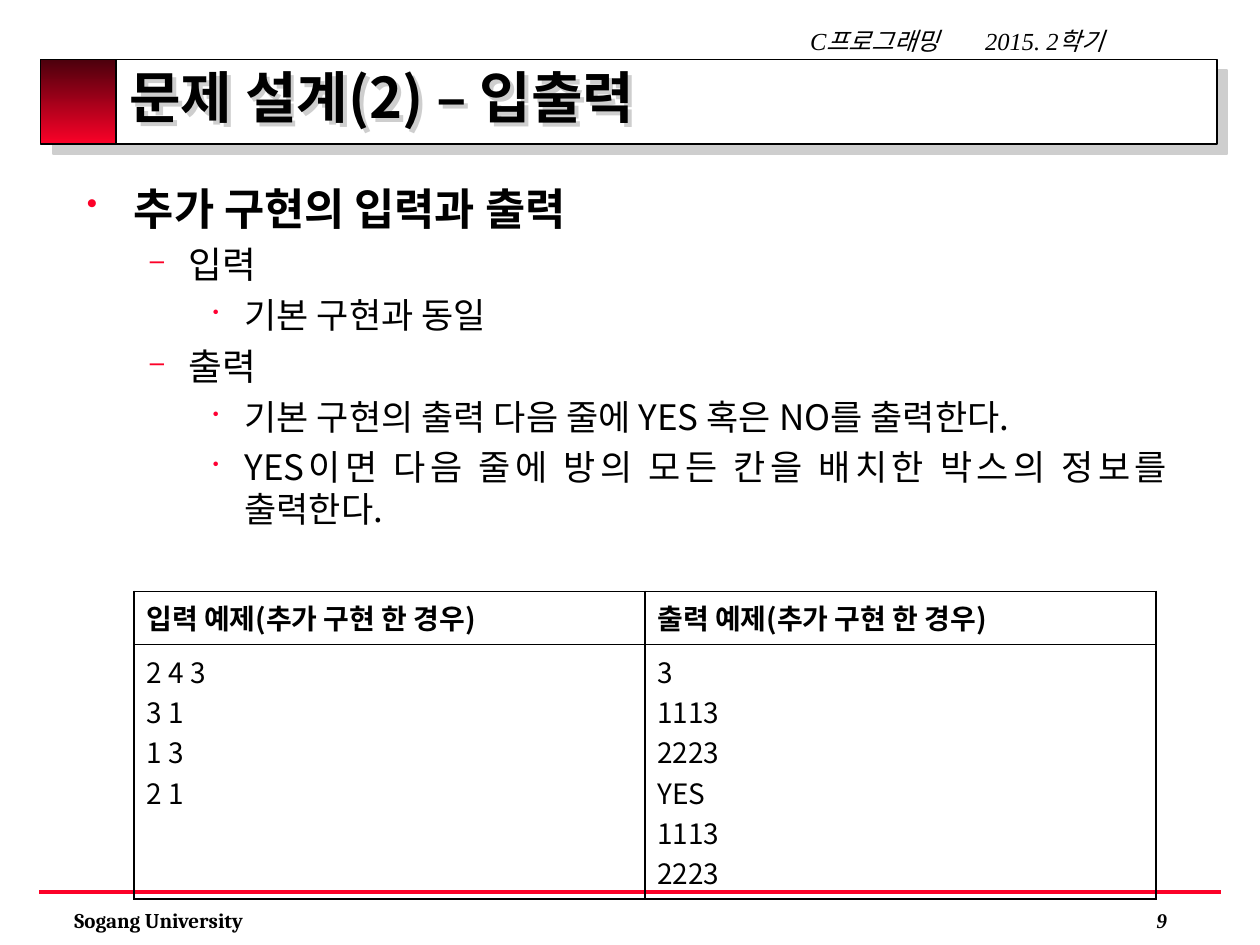
from lxml import etree
from pptx import Presentation, util as u
from pptx.dml.color import RGBColor
from pptx.enum import shapes, text
from pptx.oxml import ns

# Content
SANS, SERIF, ROMAN = "Noto Sans CJK KR", "Cambria", "Times New Roman"
BLACK, RED, DARK_RED, GREY = "000000", "FC0128", "4B000C", "CECECE"
TITLE = "문제 설계(2) – 입출력"
BODY = [
    (0, "추가 구현의 입력과 출력"),
    (1, "입력"),
    (2, "기본 구현과 동일"),
    (1, "출력"),
    (2, "기본 구현의 출력 다음 줄에 YES 혹은 NO를 출력한다."),
    (2, "YES이면 다음 줄에 방의 모든 칸을 배치한 박스의 정보를 출력한다."),
]
EXAMPLES = [
    ("입력 예제(추가 구현 한 경우)", ["2 4 3", "3 1", "1 3", "2 1"]),
    ("출력 예제(추가 구현 한 경우)", ["3", "1113", "2223", "YES", "1113", "2223"]),
]
LEVELS = [  # left margin and hanging indent in cm, then bullet look
    dict(margin=0.95, hang=0.95, bullet="•", color=RED, percent=70, size=25, bold=True),
    dict(margin=2.06, hang=0.79, bullet="–", color=RED, percent=70, size=21, bold=False),
    dict(margin=3.18, hang=0.64, bullet="•", color="FF0033", percent=50, size=20, bold=False),
]
# Small labels: text, box in cm, alignment, anchor, format
LABELS = [
    ("Sogang University", (1.25, 18.17, 7.26, 0.8), "LEFT", "TOP",
     dict(name=SERIF, size=12, bold=True)),
    ("C프로그래밍\t2015. 2학기", (16.08, 0.41, 7.4, 0.86), "LEFT", "TOP",
     dict(name=ROMAN, size=14, italic=True)),
    ("9", (21.8, 18.15, 1.98, 0.79), "RIGHT", "MIDDLE",
     dict(name=ROMAN, size=12, bold=True, italic=True)),
]
HEADER_TAB = 3.53


# Helpers
def rgb(value):
    return RGBColor.from_string(value)


def cm(*values):
    return [u.Cm(value) for value in values]


def child(parent, tag, **attributes):
    element = etree.SubElement(parent, ns.qn(tag))
    for key, value in attributes.items():
        element.set(key, str(value))
    return element


def add_shadow(parent, distance):
    effects = child(parent, "a:effectLst")
    shadow = child(effects, "a:outerShdw", blurRad=0, dist=int(u.Pt(distance)),
                   dir=2700000, algn="ctr", rotWithShape=0)
    child(shadow, "a:srgbClr", val=GREY)


def write(paragraph, content, name=SANS, size=16, **formats):
    run = paragraph.add_run()
    run.text = content
    for key, value in dict(formats, name=name, size=u.Pt(size)).items():
        setattr(run.font, key, value)
    run.font.color.rgb = rgb(BLACK)
    properties = run.font._element
    properties.set("kern", "0")
    properties.find(ns.qn("a:latin")).addnext(etree.Element(ns.qn("a:ea"), typeface=SANS))


def add_text_box(box, anchor):
    shape = slide.shapes.add_textbox(*cm(*box))
    shape.text_frame.word_wrap = True
    shape.text_frame.vertical_anchor = getattr(text.MSO_ANCHOR, anchor)
    return shape


def add_box(box):
    shape = slide.shapes.add_shape(shapes.MSO_SHAPE.RECTANGLE, *cm(*box))
    shape.line.color.rgb = rgb(BLACK)
    shape.line.width = u.Pt(1)
    return shape


def paragraphs(frame, count):
    return [frame.paragraphs[0]] + [frame.add_paragraph() for _ in range(count - 1)]


presentation = Presentation()
presentation.slide_width, presentation.slide_height = cm(25.4, 19.05)
slide = presentation.slides.add_slide(presentation.slide_layouts[6])

# Title bar with its red block
bar = add_box((0.86, 1.2, 23.67, 1.7))
bar.fill.solid()
bar.fill.fore_color.rgb = rgb("FFFFFF")
add_shadow(bar._element.spPr, 8.5)

block = add_box((0.82, 1.2, 1.52, 1.71))
block.shadow.inherit = False
block.fill.gradient()
block.fill.gradient_angle = 270
for stop, color in zip(block.fill.gradient_stops, (DARK_RED, RED)):
    stop.color.rgb = rgb(color)

# Footer rule
rule = slide.shapes.add_connector(shapes.MSO_CONNECTOR.STRAIGHT, *cm(0.79, 17.98, 24.61, 17.98))
rule.line.color.rgb = rgb(RED)
rule.line.width = u.Pt(2.25)
child(rule._element.spPr, "a:effectLst")

# Header, footer and page number
for content, box, align, anchor, formats in LABELS:
    paragraph = add_text_box(box, anchor).text_frame.paragraphs[0]
    paragraph.alignment = getattr(text.PP_ALIGN, align)
    if "\t" in content:
        tabs = child(paragraph._p.get_or_add_pPr(), "a:tabLst")
        child(tabs, "a:tab", pos=int(u.Cm(HEADER_TAB)), algn="l")
    write(paragraph, content, **formats)

# Title, whose unfilled box casts its shadow from the letters
title = add_text_box((2.36, 1.12, 22.28, 1.9), "MIDDLE")
add_shadow(title._element.spPr, 3)
paragraph = title.text_frame.paragraphs[0]
paragraph.line_spacing = 0.8
write(paragraph, TITLE, size=32, bold=True)

# Bulleted body
frame = add_text_box((1.5, 3.53, 22.28, 14.6), "TOP").text_frame
for index, (paragraph, (depth, content)) in enumerate(zip(paragraphs(frame, len(BODY)), BODY)):
    level = LEVELS[depth]
    properties = paragraph._p.get_or_add_pPr()
    properties.set("marL", str(int(u.Cm(level["margin"]))))
    properties.set("indent", str(-int(u.Cm(level["hang"]))))
    child(child(properties, "a:buClr"), "a:srgbClr", val=level["color"])
    child(properties, "a:buSzPct", val=level["percent"] * 1000)
    child(properties, "a:buChar", char=level["bullet"])
    paragraph.level = depth
    paragraph.alignment = text.PP_ALIGN.JUSTIFY
    if index:
        paragraph.space_before = u.Pt(4.5)
    write(paragraph, content, size=level["size"], bold=level["bold"])

# Example table
table = slide.shapes.add_table(2, len(EXAMPLES), *cm(2.7, 11.92, 20.6, 6.2)).table
for row, height in zip(table.rows, (1.07, 5.13)):
    row.height = u.Cm(height)
for column, (heading, lines) in enumerate(EXAMPLES):
    table.columns[column].width = u.Cm(10.3)
    for row, cell_lines in enumerate(([heading], lines)):
        cell = table.cell(row, column)
        for paragraph, line in zip(paragraphs(cell.text_frame, len(cell_lines)), cell_lines):
            write(paragraph, line, bold=row == 0)
        borders = cell._tc.get_or_add_tcPr()
        for side in "LRTB":
            border = child(borders, f"a:ln{side}", w=int(u.Pt(1)))
            child(child(border, "a:solidFill"), "a:srgbClr", val=BLACK)
        cell.fill.background()

presentation.save("out.pptx")
